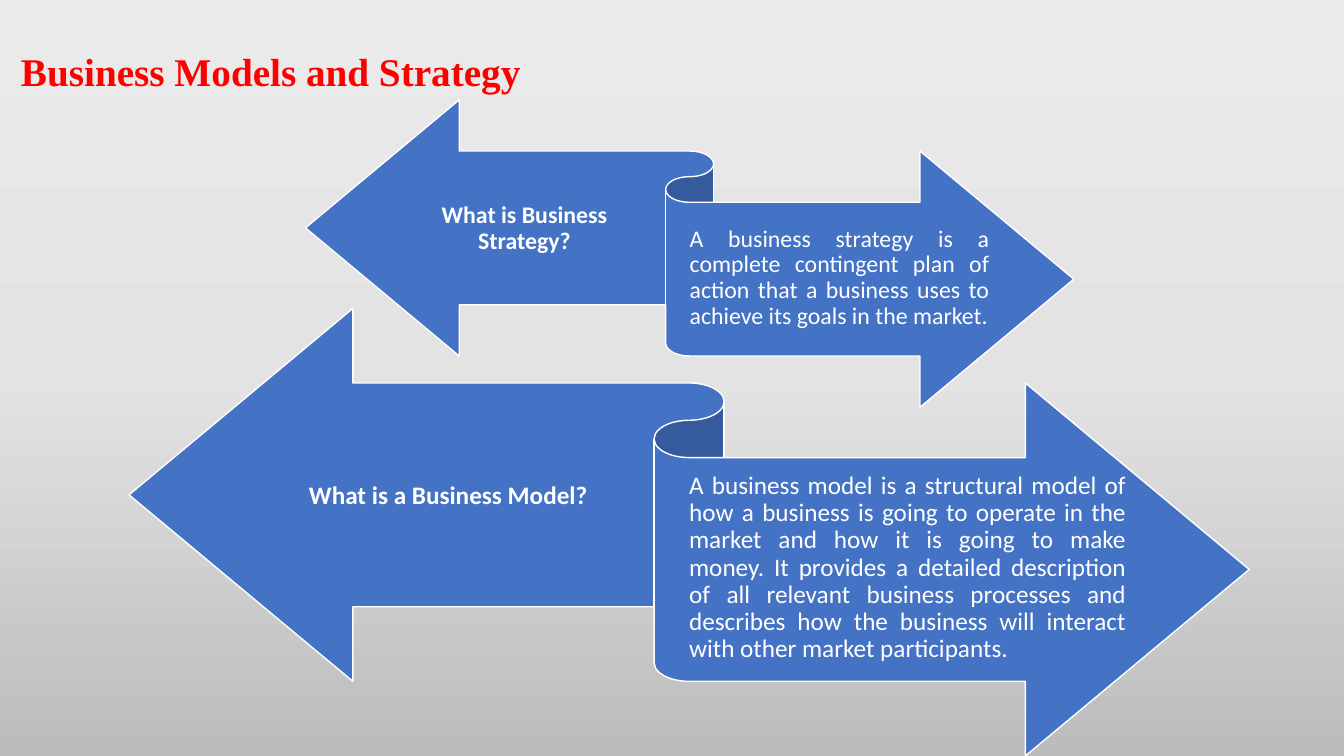
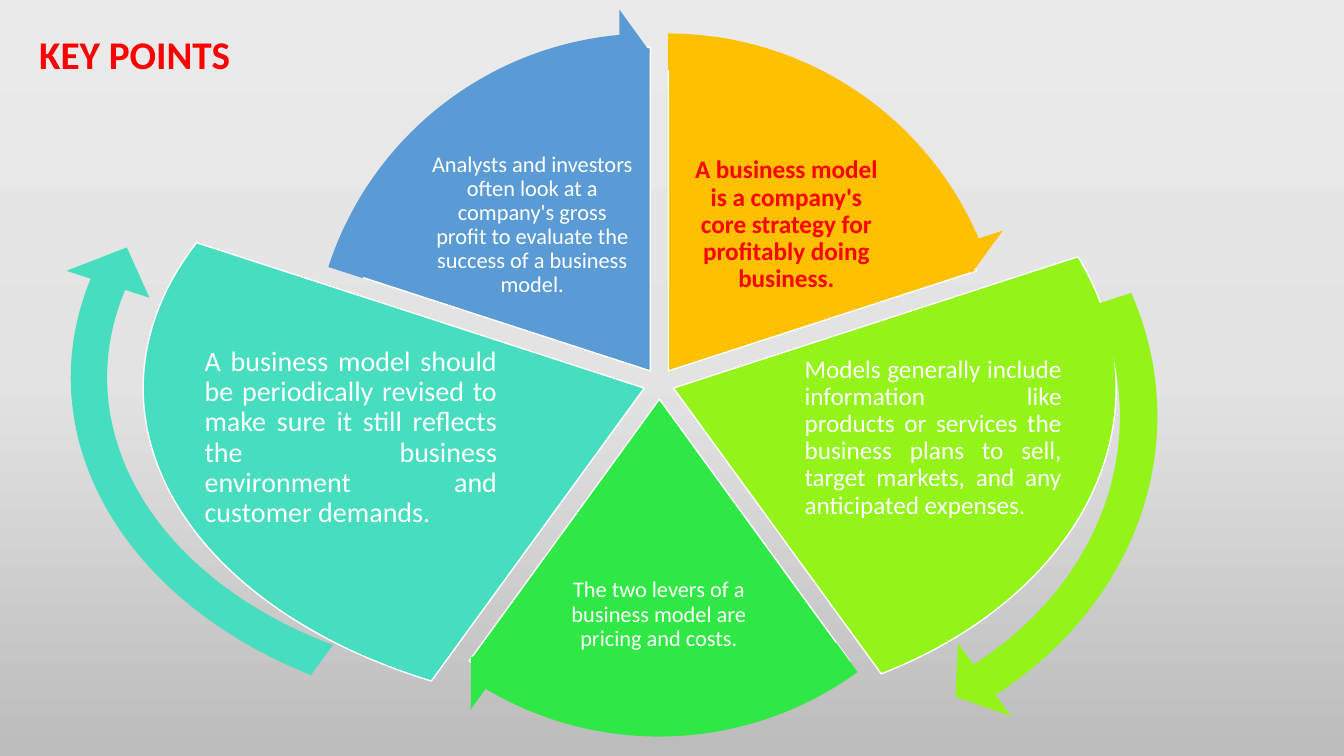
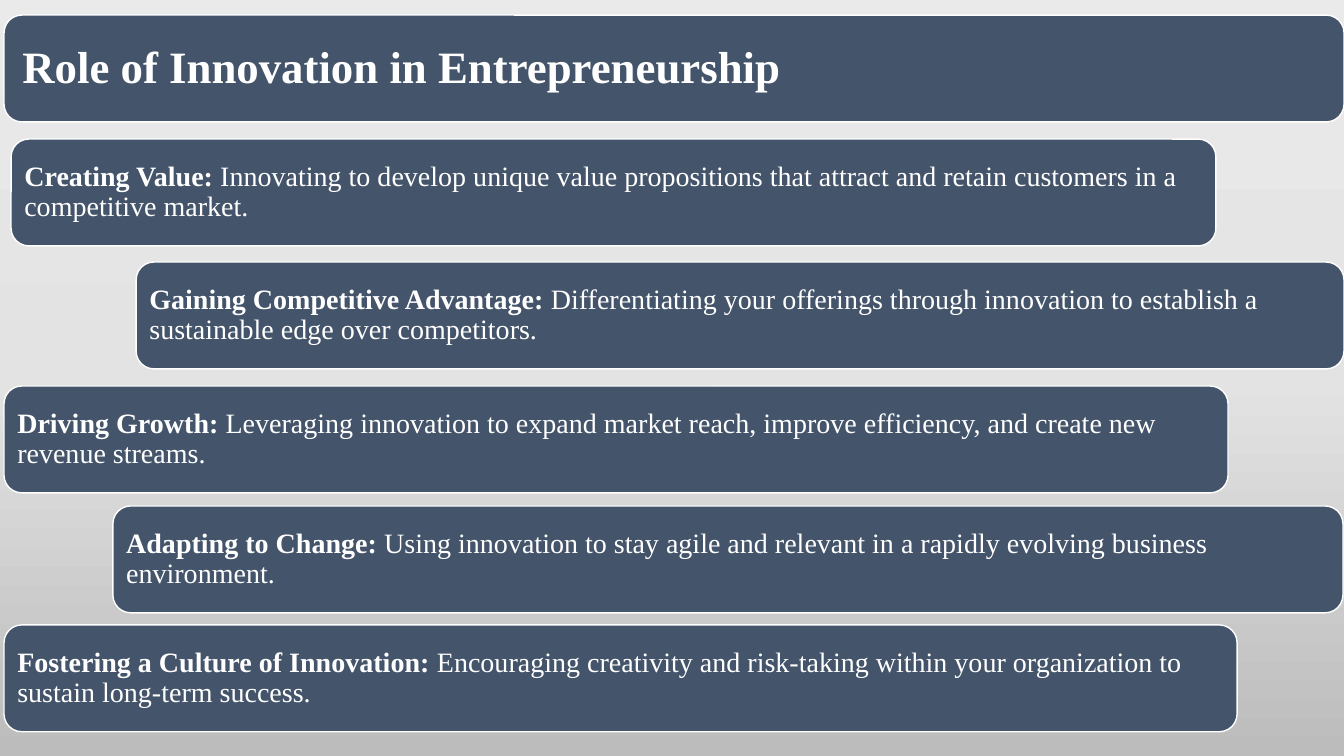
import copy

import pptx
import pptx.dml.color
import pptx.enum.shapes
import pptx.enum.text
import pptx.oxml.ns
import pptx.util

Inches = pptx.util.Inches
KIND = pptx.enum.shapes.MSO_SHAPE
ALIGN = pptx.enum.text.PP_ALIGN
ANCHOR = pptx.enum.text.MSO_ANCHOR

COLORS = {
    "top": "EBEAEA", "mid": "E4E3E3", "base": "BDBCBC",
    "red": "FF0000", "white": "FFFFFF", "blue": "4472C4", "slate": "44546A",
    "gold": "FFC000", "lime": "94F319", "green": "30E845",
    "teal": "46DEBF", "sky": "5B9BD5",
}
SANS, SERIF = "Calibri", "Times New Roman"

# Angles are in adjustment units, where a full turn is 216.
TURN, START = 216, 162
STEP = TURN / 5

# color, pie box, text box, arrow box, text runs, text format
WEDGES = [
    ("gold", (3.42, 0.47, 6.42, 6.42), (6.77, 1.55, 2.06, 1.37),
     (3.02, 0.08, 7.21, 7.21),
     ["A business model is a company's core strategy for profitably doing business."],
     dict(size=18, color="red", bold=True)),
    ("lime", (2.29, 0.64, 8.78, 6.42), (7.95, 3.58, 2.61, 1.53),
     (3.17, 0.41, 8.57, 7.44),
     ["Models generally include information like products or services the "
      "business plans to sell, target markets, and any anticipated expenses",
      (".", dict(size=16))],
     dict(size=18, align=ALIGN.JUSTIFY)),
    ("green", (3.33, 0.75, 6.42, 6.42), (5.62, 5.26, 1.83, 1.68),
     (2.93, 0.35, 7.21, 7.21),
     ["The two levers of a business model are pricing and costs."],
     dict(size=16)),
    ("teal", (1.42, 0.64, 9.94, 6.42), (2, 3.58, 2.96, 1.53),
     (0.45, 0.14, 9.56, 7.21),
     ["A business model should be periodically revised to make sure it still "
      "reflects the business environment and customer demands."],
     dict(size=20, align=ALIGN.JUSTIFY)),
    ("sky", (3.24, 0.47, 6.42, 6.42), (4.25, 1.55, 2.06, 1.37),
     (2.84, 0.08, 7.21, 7.21),
     ["Analysts and investors often look at a company's gross profit to "
      "evaluate the success of a business model."],
     dict(size=16)),
]

# left, top, width, lead, rest
ROLES = [
    (0.11, 1.38, 11.95, "Creating Value:",
     " Innovating to develop unique value propositions that attract and retain "
     "customers in a competitive market."),
    (1.35, 2.6, 11.98, "Gaining Competitive Advantage:",
     " Differentiating your offerings through innovation to establish a "
     "sustainable edge over competitors."),
    (0.04, 3.83, 12.14, "Driving Growth:",
     " Leveraging innovation to expand market reach, improve efficiency, and "
     "create new revenue streams."),
    (1.12, 5.02, 12.2, "Adapting to Change:",
     " Using innovation to stay agile and relevant in a rapidly evolving "
     "business environment."),
    (0.04, 6.2, 12.23, "Fostering a Culture of Innovation:",
     " Encouraging creativity and risk-taking within your organization to "
     "sustain long-term success."),
]


def rgb(name):
    return pptx.dml.color.RGBColor.from_string(COLORS[name])


def paint(master):
    """Give the master the three-stop gradient that all slides share."""
    fill = master.background.fill
    fill.gradient()
    fill.gradient_angle = 270
    stops = master.element.find(".//" + pptx.oxml.ns.qn("a:gsLst"))
    stops.insert(1, copy.deepcopy(stops[0]))
    for stop, name, place in zip(fill.gradient_stops, ("top", "mid", "base"), (0, 0.5, 1)):
        stop.color.rgb = rgb(name)
        stop.position = place


def write(shape, runs, size=18, color="white", font=SANS, bold=False,
          align=ALIGN.CENTER, anchor=ANCHOR.MIDDLE, inset=(0.03, 0.03),
          space=0.9, wrap=True):
    """Fill a shape with one paragraph; a run is text or (text, changes)."""
    frame = shape.text_frame
    frame.word_wrap = wrap
    frame.vertical_anchor = anchor
    frame.margin_left = frame.margin_right = Inches(inset[0])
    frame.margin_top = frame.margin_bottom = Inches(inset[1])
    para = frame.paragraphs[0]
    para.alignment = align
    para.line_spacing = space
    for item in runs:
        text, change = (item, {}) if isinstance(item, str) else item
        run = para.add_run()
        run.text = text
        run.font.name = font
        run.font.size = pptx.util.Pt(change.get("size", size))
        run.font.bold = change.get("bold", bold)
        run.font.color.rgb = rgb(color)


def label(slide, box, runs, **style):
    write(slide.shapes.add_textbox(*map(Inches, box)), runs, **style)


def title(slide, box, text, **style):
    label(slide, box, [text], size=28, color="red", bold=True, space=1,
          anchor=ANCHOR.TOP, inset=(0.1, 0.05), **style)


def draw(slide, kind, box, color, adjust=(), line=True):
    shape = slide.shapes.add_shape(kind, *map(Inches, box))
    shape.shadow.inherit = False
    shape.fill.solid()
    shape.fill.fore_color.rgb = rgb(color)
    if line:
        shape.line.color.rgb = rgb("white")
        shape.line.width = pptx.util.Pt(1)
    else:
        shape.line.fill.background()
    for i, value in enumerate(adjust):
        shape.adjustments[i] = value
    return shape


def ribbon(slide, box, ask, reply, size):
    """Draw a two-way ribbon with a question on its left and an answer on its right."""
    left, top, width, height = box
    draw(slide, KIND.LEFT_RIGHT_RIBBON, box, "blue")

    def half(x, y, share, text, **style):
        area = (left + x * width, top + y * height, share * width, 0.49 * height)
        label(slide, area, [text], size=size, inset=(0, 0.07), **style)

    half(0.12, 0.175, 0.33, ask, bold=True)
    half(0.5, 0.335, 0.39, reply, align=ALIGN.JUSTIFY)


def models(slide):
    title(slide, (0.11, 0.42, 5.21, 0.57), "Business Models and Strategy",
          font=SERIF, align=ALIGN.JUSTIFY, wrap=False)
    ribbon(slide, (3.03, 0.99, 7.62, 3.05), "What is Business Strategy?",
           "A business strategy is a complete contingent plan of action that a "
           "business uses to achieve its goals in the market.", 17)
    ribbon(slide, (1.28, 3.06, 11.11, 4.44), "What is a Business Model?",
           "A business model is a structural model of how a business is going to "
           "operate in the market and how it is going to make money. It provides "
           "a detailed description of all relevant business processes and "
           "describes how the business will interact with other market "
           "participants.", 18)


def points(slide):
    for i, (color, pie, area, _, runs, style) in enumerate(WEDGES):
        angle = START + i * STEP
        draw(slide, KIND.PIE, pie, color, (angle % TURN, (angle + STEP) % TURN))
        label(slide, area, runs, **style)
    for i, (color, _, _, arrow, _, _) in enumerate(WEDGES):
        angle = START + i * STEP
        tip = (angle + STEP - 3.28) % TURN
        draw(slide, KIND.CIRCULAR_ARROW, arrow, color,
             (0.05, 3.28, tip, angle % TURN, 0.06), line=False)
    title(slide, (0.29, 0.25, 2.14, 0.57), "KEY POINTS", align=ALIGN.LEFT)


def bar(slide, left, top, width, runs, size, inset):
    shape = draw(slide, KIND.ROUNDED_RECTANGLE, (left, top, width, 1.06), "slate")
    write(shape, runs, size=size, font=SERIF, bold=True, align=ALIGN.LEFT,
          inset=(inset, inset))


def roles(slide):
    bar(slide, 0.04, 0.15, 13.29, ["Role of Innovation in Entrepreneurship"], 32, 0.13)
    for left, top, width, lead, rest in ROLES:
        bar(slide, left, top, width, [lead, (rest, dict(bold=False))], 20, 0.08)


def main():
    deck = pptx.Presentation()
    deck.slide_width, deck.slide_height = Inches(13.33), Inches(7.5)
    paint(deck.slide_master)
    for build in (models, points, roles):
        build(deck.slides.add_slide(deck.slide_layouts[6]))
    deck.save("out.pptx")


if __name__ == "__main__":
    main()
